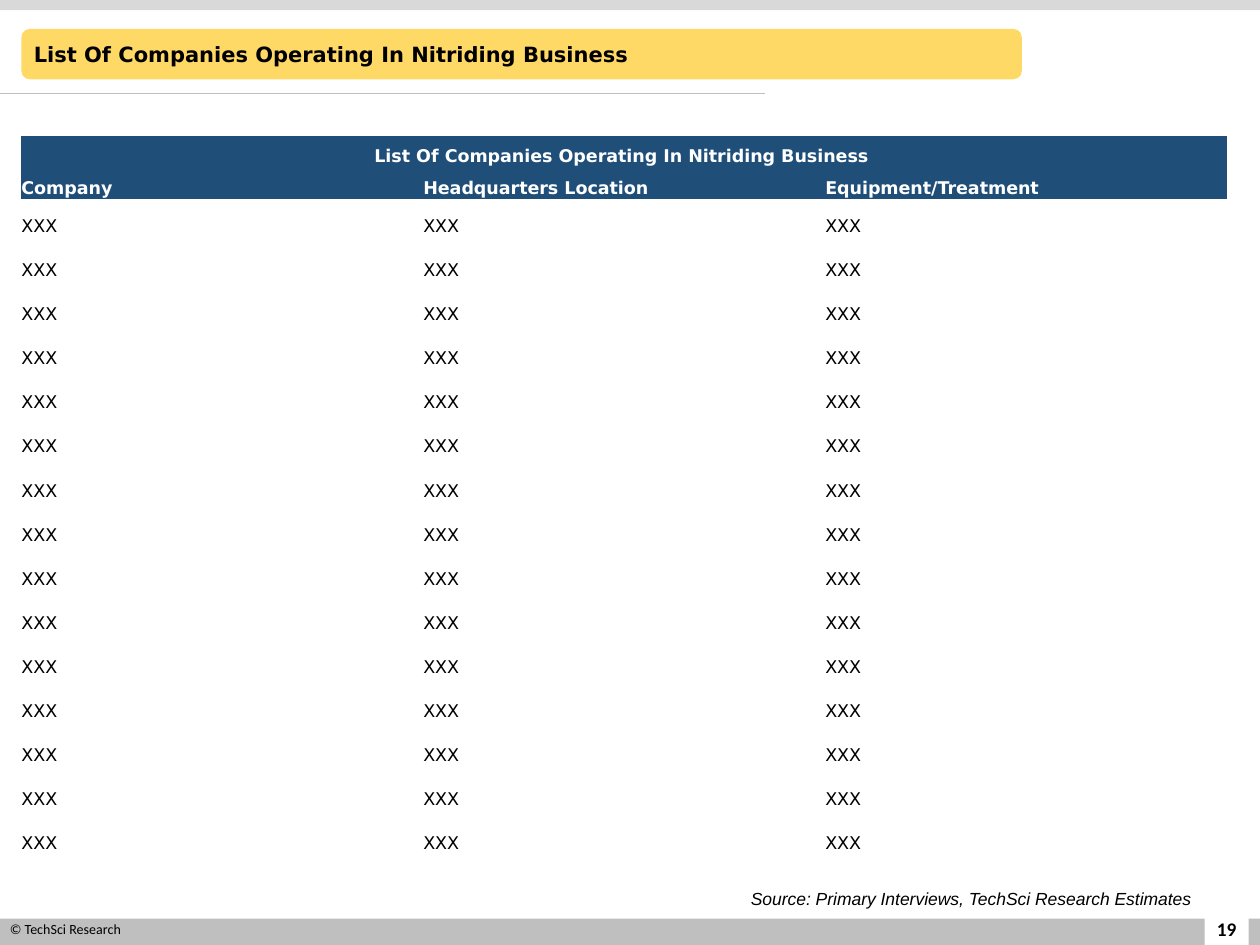
from dataclasses import dataclass, field

from lxml.etree import SubElement
from pptx import Presentation
from pptx.dml.color import RGBColor
from pptx.enum.shapes import MSO_CONNECTOR, MSO_SHAPE
from pptx.enum.text import MSO_ANCHOR, MSO_AUTO_SIZE, PP_ALIGN
from pptx.oxml.ns import qn
from pptx.util import Inches, Pt

BLACK, WHITE, NAVY, YELLOW = "000000", "FFFFFF", "1F4E79", "FFD966"
LIGHT_GREY, MID_GREY = "D9D9D9", "BFBFBF"
HEADING_FONT = "DejaVu Sans"
NO_TABLE_STYLE = "{2D5ABB26-0587-4C30-8999-92F81FD0307C}"

TITLE = "List Of Companies Operating In Nitriding Business"
HEADERS = ["Company", "Headquarters Location", "Equipment/Treatment"]
COMPANY_ROWS = [["XXX"] * len(HEADERS)] * 15
HEADER_HEIGHT, COMPANY_HEIGHT, COLUMN_WIDTH = 0.23, 0.35, 3.19


@dataclass
class Block:
    left: float
    top: float
    width: float
    height: float
    fill: str
    preset: MSO_SHAPE = MSO_SHAPE.RECTANGLE


@dataclass
class Label:
    left: float
    top: float
    width: float
    height: float
    text: str
    style: dict
    align: PP_ALIGN = PP_ALIGN.LEFT
    frame: dict = field(default_factory=lambda: {"auto_size": MSO_AUTO_SIZE.SHAPE_TO_FIT_TEXT})


MASTER_BLOCKS = [
    Block(0, 7.29, 10.02, 0.23, MID_GREY),
    Block(0, 0, 10.02, 0.08, LIGHT_GREY),
    Block(9.56, 7.13, 0.35, 0.38, WHITE),
]
MASTER_LABELS = [
    Label(9.49, 7.17, 0.49, 0.4, "19", {"name": "Calibri", "size": Pt(11), "bold": True},
          PP_ALIGN.CENTER, {"vertical_anchor": MSO_ANCHOR.MIDDLE}),
    Label(-0.02, 7.26, 2.06, 0.37, "© TechSci Research", {"name": "Calibri", "size": Pt(8)}),
]
TITLE_BLOCK = Block(0.17, 0.23, 7.94, 0.4, YELLOW, MSO_SHAPE.ROUNDED_RECTANGLE)
CONTENT_LABELS = [
    Label(0.17, 0.28, 5.67, 0.3, TITLE, {"name": HEADING_FONT, "size": Pt(12), "bold": True}),
    Label(5.09, 7, 4.46, 0.27, "Source: Primary Interviews, TechSci Research Estimates",
          {"name": "Arial", "size": Pt(10), "italic": True}, PP_ALIGN.RIGHT),
]


def rgb(value: str) -> RGBColor:
    return RGBColor.from_string(value)


def set_attributes(target, values: dict) -> None:
    for name, value in values.items():
        setattr(target, name, value)


def write(paragraph, text: str, style: dict, color: str, align: PP_ALIGN) -> None:
    run = paragraph.add_run()
    run.text = text
    set_attributes(run.font, style)
    run.font.color.rgb = rgb(color)
    paragraph.alignment = align


def draw_block(slide, block: Block) -> None:
    shape = slide.shapes.add_shape(block.preset, Inches(block.left), Inches(block.top),
                                   Inches(block.width), Inches(block.height))
    shape.shadow.inherit = False
    shape.fill.solid()
    shape.fill.fore_color.rgb = rgb(block.fill)
    shape.line.fill.background()


def draw_label(slide, label: Label) -> None:
    box = slide.shapes.add_textbox(Inches(label.left), Inches(label.top),
                                   Inches(label.width), Inches(label.height))
    set_attributes(box.text_frame, {"word_wrap": True, **label.frame})
    write(box.text_frame.paragraphs[0], label.text, label.style, BLACK, label.align)


def draw_title_rule(slide) -> None:
    rule = slide.shapes.add_connector(MSO_CONNECTOR.STRAIGHT, Inches(0), Inches(0.74),
                                      Inches(6.07), Inches(0.74))
    rule.line.color.rgb = rgb(MID_GREY)
    rule.line.width = Pt(0.5)
    SubElement(rule.element.spPr, qn("a:effectLst"))


def fill_cell(cell, text: str, is_header: bool, align: PP_ALIGN = PP_ALIGN.LEFT) -> None:
    set_attributes(cell, {"margin_left": 0, "margin_right": 0, "margin_top": 0,
                          "margin_bottom": 0, "vertical_anchor": MSO_ANCHOR.MIDDLE})
    if is_header:
        cell.fill.solid()
        cell.fill.fore_color.rgb = rgb(NAVY)
    else:
        cell.fill.background()
    paragraph = cell.text_frame.paragraphs[0]
    paragraph.line_spacing = 1.5
    write(paragraph, text, {"name": HEADING_FONT, "size": Pt(10), "bold": is_header},
          WHITE if is_header else BLACK, align)


def draw_company_table(slide) -> None:
    heights = [HEADER_HEIGHT] * 2 + [COMPANY_HEIGHT] * len(COMPANY_ROWS)
    frame = slide.shapes.add_table(len(heights), len(HEADERS), Inches(0.17), Inches(1.08),
                                   Inches(COLUMN_WIDTH * len(HEADERS)), Inches(sum(heights)))
    table = frame.table
    set_attributes(table, {"first_row": False, "horz_banding": False})
    for style_id in frame.element.iter(qn("a:tableStyleId")):
        style_id.text = NO_TABLE_STYLE
    for column in table.columns:
        column.width = Inches(COLUMN_WIDTH)
    for row, height in zip(table.rows, heights):
        row.height = Inches(height)

    heading = table.cell(0, 0)
    heading.merge(table.cell(0, len(HEADERS) - 1))
    fill_cell(heading, TITLE + " ", True, PP_ALIGN.CENTER)
    for row_index, texts in enumerate([HEADERS, *COMPANY_ROWS], start=1):
        for column_index, text in enumerate(texts):
            fill_cell(table.cell(row_index, column_index), text, row_index == 1)


def main() -> None:
    presentation = Presentation()
    presentation.slide_width, presentation.slide_height = Inches(10), Inches(7.5)
    slide = presentation.slides.add_slide(presentation.slide_layouts[6])
    for block in MASTER_BLOCKS:
        draw_block(slide, block)
    draw_title_rule(slide)
    for label in MASTER_LABELS:
        draw_label(slide, label)
    draw_block(slide, TITLE_BLOCK)
    for label in CONTENT_LABELS:
        draw_label(slide, label)
    draw_company_table(slide)
    presentation.save("out.pptx")


if __name__ == "__main__":
    main()
